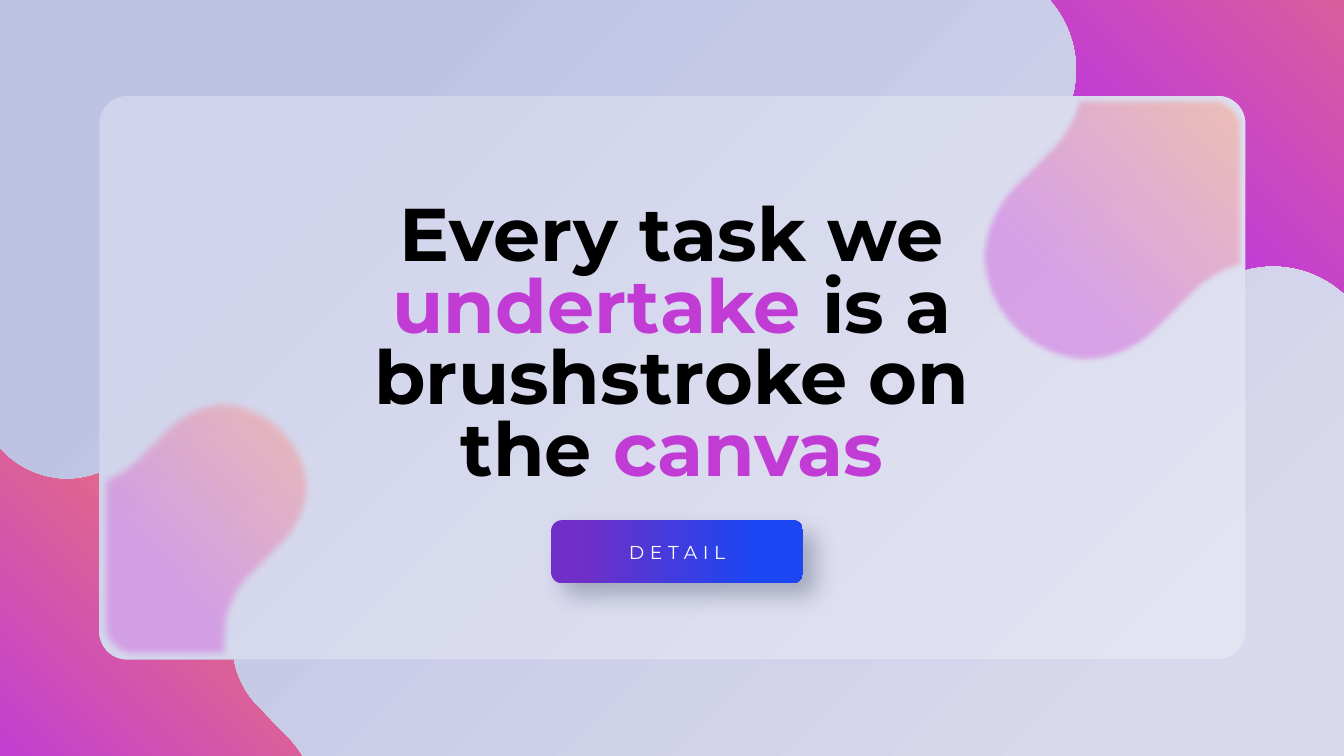
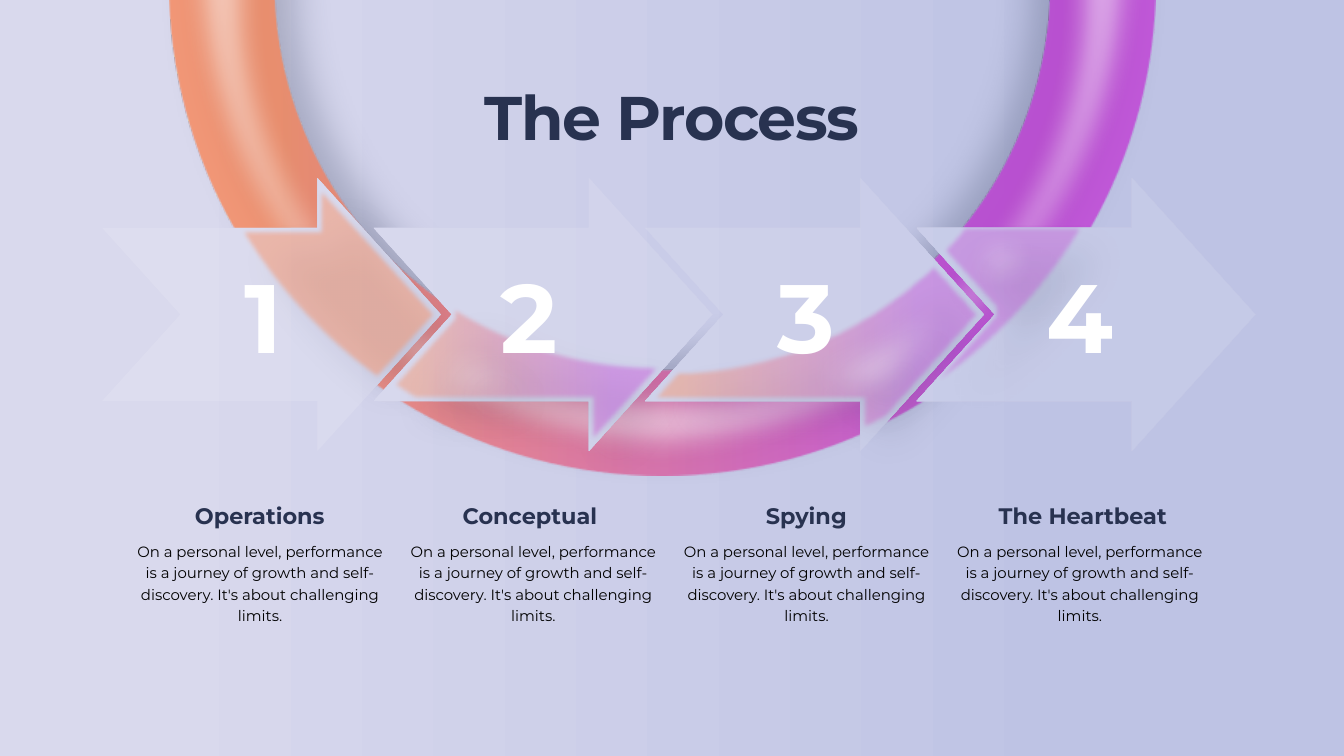
from dataclasses import dataclass

from pptx import Presentation
from pptx.dml.color import RGBColor
from pptx.enum.shapes import MSO_SHAPE
from pptx.enum.text import MSO_ANCHOR, MSO_AUTO_SIZE, PP_ALIGN
from pptx.oxml import parse_xml
from pptx.oxml.ns import nsdecls, qn
from pptx.util import Inches, Pt

ROUND = MSO_SHAPE.ROUNDED_RECTANGLE
DONUT = MSO_SHAPE.DONUT
ARROW = MSO_SHAPE.NOTCHED_RIGHT_ARROW
CENTER = PP_ALIGN.CENTER
TOP = MSO_ANCHOR.TOP
MIDDLE = MSO_ANCHOR.MIDDLE
GROW = MSO_AUTO_SIZE.SHAPE_TO_FIT_TEXT


@dataclass(frozen=True)
class Ink:
    """A solid, linear or radial fill; stops are (percent, colour)."""
    stops: tuple
    alpha: int = 100
    angle: int = 0
    radial: bool = False

    def xml(self):
        def color(rgb):
            return (f'<a:srgbClr val="{rgb}">'
                    f'<a:alpha val="{self.alpha * 1000}"/></a:srgbClr>')
        if len(self.stops) == 1:
            return (f'<a:solidFill {nsdecls("a")}>'
                    f'{color(self.stops[0][1])}</a:solidFill>')
        stops = "".join(f'<a:gs pos="{at * 1000}">{color(rgb)}</a:gs>'
                        for at, rgb in self.stops)
        if self.radial:
            way = ('<a:path path="circle"><a:fillToRect l="0" t="100000" '
                   'r="100000" b="0"/></a:path>')
        else:
            way = f'<a:lin ang="{self.angle * 60000}" scaled="0"/>'
        return (f'<a:gradFill {nsdecls("a")} rotWithShape="1">'
                f'<a:gsLst>{stops}</a:gsLst>{way}</a:gradFill>')


def flat(rgb, alpha=100):
    return Ink(((0, rgb),), alpha)


class Theme:
    font = "Montserrat"
    navy, white, black = "283250", "FFFFFF", "000000"
    pink, peach, blue, violet = "C13CD5", "F98657", "1C46F2", "702FC6"
    mist = ((11, "D9D9ED"), (80, "BEC3E4"))
    glow = ((30, pink), (100, peach))
    warm = ((11, peach), (80, pink))
    quote, title, digit, label, button, body = 80, 66, 104, 24, 20, 16
    # shadow: opacity, blur, distance, scale
    deep, wide = (33, 39, 39, 95), (25, 63, 63, 100)
    small = (31, 25, 18, 100)
    edge, haze = 5, 30


def quarters(start, steps):
    """Turn a quarter outline around the origin four times."""
    path = [start]
    for _ in range(4):
        path += steps
        steps = [tuple(v for x, y in zip(s[::2], s[1::2]) for v in (-y, x))
                 for s in steps]
    return path


# Outlines: two numbers are a point, six are a curve
BLOB = quarters((-3.9, -3.9), [
    (-3.28, -4.53, -2.28, -4.53, -1.66, -3.9), (-1.12, -3.38),
    (-0.5, -2.76, 0.5, -2.76, 1.12, -3.38), (1.66, -3.9),
    (2.28, -4.53, 3.28, -4.53, 3.9, -3.9)])
FRAME = (-4.37, -4.37, 8.74, 8.74)
LEFT = [
    (3.33, 5.91), (3.67, 5.91, 4.02, 6.04, 4.28, 6.3),
    (4.8, 6.82, 4.8, 7.67, 4.28, 8.19), (3.83, 8.64),
    (3.57, 8.9, 3.44, 9.24, 3.44, 9.58), (3.46, 9.82), (1.89, 9.82),
    (1.66, 9.82, 1.48, 9.63, 1.48, 9.41), (1.48, 7.05), (1.5, 7.04),
    (1.66, 6.97, 1.81, 6.88, 1.94, 6.75), (2.39, 6.3),
    (2.65, 6.04, 2.99, 5.91, 3.33, 5.91)]
RIGHT = [
    (15.99, 1.43), (18.11, 1.43), (18.34, 1.43, 18.52, 1.62, 18.52, 1.84),
    (18.52, 4), (18.49, 4.01), (18.25, 4.08, 18.01, 4.22, 17.82, 4.41),
    (17.29, 4.94), (16.67, 5.57, 15.66, 5.57, 15.04, 4.94),
    (14.42, 4.32, 14.42, 3.32, 15.04, 2.69), (15.57, 2.16),
    (15.76, 1.97, 15.9, 1.74, 15.97, 1.49)]
ARC1 = [
    (4.72, 2.65), (6.55, 4.68), (5.62, 5.71), (5.48, 5.61),
    (4.72, 5.04, 4.08, 4.34, 3.59, 3.53), (3.51, 3.39), (4.72, 3.39)]
ARC2 = [
    (6.2, 4.1), (6.41, 4.27), (7.38, 4.99, 8.57, 5.42, 9.86, 5.42),
    (9.93, 5.42), (8.76, 6.71), (8.76, 5.97), (6.14, 5.97), (6.06, 5.93),
    (5.77, 5.74), (6.72, 4.68)]
ARC3 = [
    (13.89, 3.86), (14.63, 4.68), (13.22, 6.25), (13.04, 6.34),
    (12.8, 6.45), (12.8, 5.97), (9.6, 5.97), (10.03, 5.49), (10.16, 5.49),
    (11.54, 5.42, 12.78, 4.87, 13.74, 4)]
ARC4 = [
    (14.31, 3.34), (16.2, 3.34), (16.11, 3.5),
    (15.56, 4.41, 14.81, 5.19, 13.94, 5.78), (13.73, 5.92), (13.61, 5.92),
    (14.77, 4.63), (13.96, 3.73), (14.1, 3.58),
    (14.17, 3.51, 14.23, 3.44, 14.28, 3.37)]

BODY = ("On a personal level, performance is a journey of growth and "
        "self-discovery. It's about challenging limits.")
# label, digit offset, outline, its box, its ink, glow box, opacity, softness
STEPS = [
    ("Operations", 1.71, ARC1, (3.51, 2.65, 3.04, 3.06),
     flat(Theme.peach, 51), (3.36, 2.38, 3.55, 3.57), 45, 50),
    ("Conceptual ", 1.63, ARC2, (5.77, 4.1, 4.16, 2.61),
     Ink(Theme.warm, 45), (5.73, 4.24, 4.16, 2.61), 40, Theme.haze),
    ("Spying", 1.71, ARC3, (9.6, 3.86, 5.04, 2.59),
     Ink(Theme.warm, 45), (9.63, 3.93, 5.04, 2.59), 50, Theme.haze),
    (" The Heartbeat", 1.74, ARC4, (13.61, 3.34, 2.59, 2.58),
     flat(Theme.pink, 42), (13.5, 3.37, 2.59, 2.58), 55, Theme.haze),
]


def paint(fill, root, ink):
    """Put the ink where the fill format writes its solid fill."""
    fill.solid()
    old = root.find(".//" + qn("a:solidFill"))
    old.getparent().replace(old, parse_xml(ink.xml()))


def effect(shape, shadow=None, soft=0):
    shape.shadow.inherit = False
    effects = shape.element.find(".//" + qn("a:effectLst"))
    if shadow:
        alpha, blur, dist, scale = shadow
        effects.append(parse_xml(
            f'<a:outerShdw {nsdecls("a")} blurRad="{Pt(blur)}" '
            f'dist="{Pt(dist)}" dir="2700000" sx="{scale * 1000}" '
            f'sy="{scale * 1000}" algn="tl" rotWithShape="0">'
            f'<a:srgbClr val="{Theme.navy}"><a:alpha val="{alpha * 1000}"/>'
            '</a:srgbClr></a:outerShdw>'))
    if soft:
        effects.append(parse_xml(
            f'<a:softEdge {nsdecls("a")} rad="{Pt(soft)}"/>'))


def finish(shape, ink, shadow=None, soft=0):
    """Fill a shape, or let the slide background show if ink is None."""
    if ink:
        paint(shape.fill, shape.element, ink)
        shape.line.fill.background()
    else:
        shape.element.remove(shape.element.find(qn("p:style")))
        shape.element.set("useBgFill", "1")
    effect(shape, shadow, soft)
    return shape


def preset(shapes, kind, box, adjust, ink, shadow=None, soft=0):
    shape = shapes.add_shape(kind, *map(Inches, box))
    for i, value in enumerate(adjust):
        shape.adjustments[i] = value
    return finish(shape, ink, shadow, soft)


def trace(shapes, path, frame, box, ink, shadow=None, soft=0):
    """Draw an outline, moved and stretched from its frame to the box."""
    x, y, wide, high = map(Inches, box)
    pen = shapes.build_freeform(x, y)
    pen.add_line_segments([(x + wide, y), (x + wide, y + high)])
    shape = pen.convert_to_shape()
    route = shape.element.find(".//" + qn("a:path"))
    for child in list(route):
        route.remove(child)
    for i, step in enumerate(path):
        tag = "cubicBezTo" if len(step) == 6 else "lnTo" if i else "moveTo"
        spots = "".join(
            f'<a:pt x="{round((px - frame[0]) / frame[2] * wide)}" '
            f'y="{round((py - frame[1]) / frame[3] * high)}"/>'
            for px, py in zip(step[::2], step[1::2]))
        route.append(parse_xml(
            f'<a:{tag} {nsdecls("a")}>{spots}</a:{tag}>'))
    route.append(parse_xml(f'<a:close {nsdecls("a")}/>'))
    return finish(shape, ink, shadow, soft)


def veil(shapes, kind, box, adjust, alpha, width):
    shape = preset(shapes, kind, box, adjust, flat(Theme.white, alpha))
    shape.line.width = Pt(width)
    paint(shape.line.fill, shape.element.find(".//" + qn("a:ln")),
          flat(Theme.white, 0))


def style(para, size, color, bold=False, gap=0, lead=None):
    para.alignment = CENTER
    if lead:
        para.line_spacing = lead
    for run in para.runs:
        font = run.font
        font.name, font.size, font.bold = Theme.font, Pt(size), bold
        font.color.rgb = RGBColor.from_string(color)
        if gap:
            run._r.get_or_add_rPr().set("spc", str(round(gap * 100)))


def write(shapes, box, text, *look, **more):
    frame = shapes.add_textbox(*map(Inches, box)).text_frame
    frame.word_wrap = True
    frame.auto_size = GROW
    frame.text = text
    style(frame.paragraphs[0], *look, **more)


def head(slide, box):
    """Place the title above what is drawn so far; give its paragraph."""
    title = slide.shapes.title
    title.left, title.top, title.width, title.height = map(Inches, box)
    title.element.getparent().append(title.element)
    frame = title.text_frame
    frame.word_wrap = True
    frame.vertical_anchor = TOP
    frame.auto_size = GROW
    return frame.paragraphs[0]


def start(deck, angle):
    slide = deck.slides.add_slide(deck.slide_layouts[5])
    paint(slide.background.fill, slide.element, Ink(Theme.mist, angle=angle))
    return slide


def glass(slide, box):
    shapes = slide.shapes.add_group_shape().shapes
    preset(shapes, ROUND, box, [0.049], None)
    x, y, wide, high = box
    ink = Ink(Theme.glow, 56, radial=True)
    low = (x, y + high - 3.9, 3.19, 3.91)
    top = (x + wide - 3.96, y, 3.95, 3.98)
    trace(shapes, LEFT, low, low, ink, soft=8)
    trace(shapes, RIGHT, top, top, ink, soft=6)
    veil(shapes, ROUND, box, [0.049], 28, 1.5)


def button(slide, box, text):
    shape = preset(slide.shapes, ROUND, box, [0.174],
                   Ink(((11, Theme.violet), (80, Theme.blue))), Theme.small)
    frame = shape.text_frame
    frame.text = text
    frame.vertical_anchor = MIDDLE
    style(frame.paragraphs[0], Theme.button, Theme.white, gap=6)


def quote(deck):
    slide = start(deck, 225)
    for box in ((14.57, -3.34, 8.75, 8.75), (-2.68, 5.91, 7.35, 7.35)):
        trace(slide.shapes, BLOB, FRAME, box, Ink(Theme.glow, radial=True))
    glass(slide, (1.48, 1.43, 17.05, 8.38))
    para = head(slide, (5.09, 2.99, 9.82, 4.45))
    for text in ("Every task we ", "undertake ", "is a brushstroke on the ",
                 "canvas"):
        para.add_run().text = text
    style(para, Theme.quote, Theme.black, True, lead=0.8)
    for i, end, angle in ((1, 80, 0), (3, 100, 225)):
        run = para.runs[i]
        paint(run.font.fill, run._r,
              Ink(((11, Theme.pink), (end, Theme.blue)), angle=angle))
    button(slide, (8.2, 7.74, 3.75, 0.94), "DETAIL")


def ring(slide, box):
    x, y, size = box
    shapes = slide.shapes.add_group_shape().shapes
    preset(shapes, DONUT, (x, y, size, size), [0.107],
           Ink(Theme.warm, 78), Theme.deep)
    inner = size - 0.26
    preset(shapes, DONUT, (x + 0.13, y + 0.13, inner, inner), [0.09],
           flat(Theme.white, 56), soft=Theme.haze)


def caption(slide, x, y, label):
    write(slide.shapes, (x + 0.38, y, 3.09, 0.5), label,
          Theme.label, Theme.navy, True)
    write(slide.shapes, (x, y + 0.55, 3.86, 1.39), BODY,
          Theme.body, Theme.black, lead=1.2)


def arrow(slide, box, path, part, ink, glow, alpha, soft):
    shapes = slide.shapes.add_group_shape().shapes
    adjust = (0.635, 0.452)
    preset(shapes, ARROW, box, adjust, None, Theme.wide)
    trace(shapes, path, part, part, ink, Theme.deep, Theme.edge)
    trace(shapes, path, part, glow, flat(Theme.white, alpha), Theme.deep,
          soft)
    veil(shapes, ARROW, box, adjust, 12, 1)


def process(deck):
    slide = start(deck, 0)
    ring(slide, (2.53, -7.6, 14.67))
    pitch = (14.14 - 1.94) / 3
    for i, (label, *_) in enumerate(STEPS):
        caption(slide, 1.94 + pitch * i, 7.42, label)
    para = head(slide, (2.54, 1.12, 14.92, 1.21))
    para.text = "The Process"
    style(para, Theme.title, Theme.navy, True, gap=-1.5)
    lefts = [1.52 + 4.04 * i for i in range(len(STEPS))]
    for x, (_, _, *art) in zip(lefts, STEPS):
        arrow(slide, (x, 2.65, 5.04, 4.06), *art)
    for i, (x, (_, shift, *_)) in enumerate(zip(lefts, STEPS), 1):
        write(slide.shapes, (x + shift, 3.76, 1.38, 1.85), str(i),
              Theme.digit, Theme.white, True, gap=-3)


def main():
    deck = Presentation()
    deck.slide_width, deck.slide_height = Inches(20), Inches(11.25)
    quote(deck)
    process(deck)
    deck.save("out.pptx")


if __name__ == "__main__":
    main()
